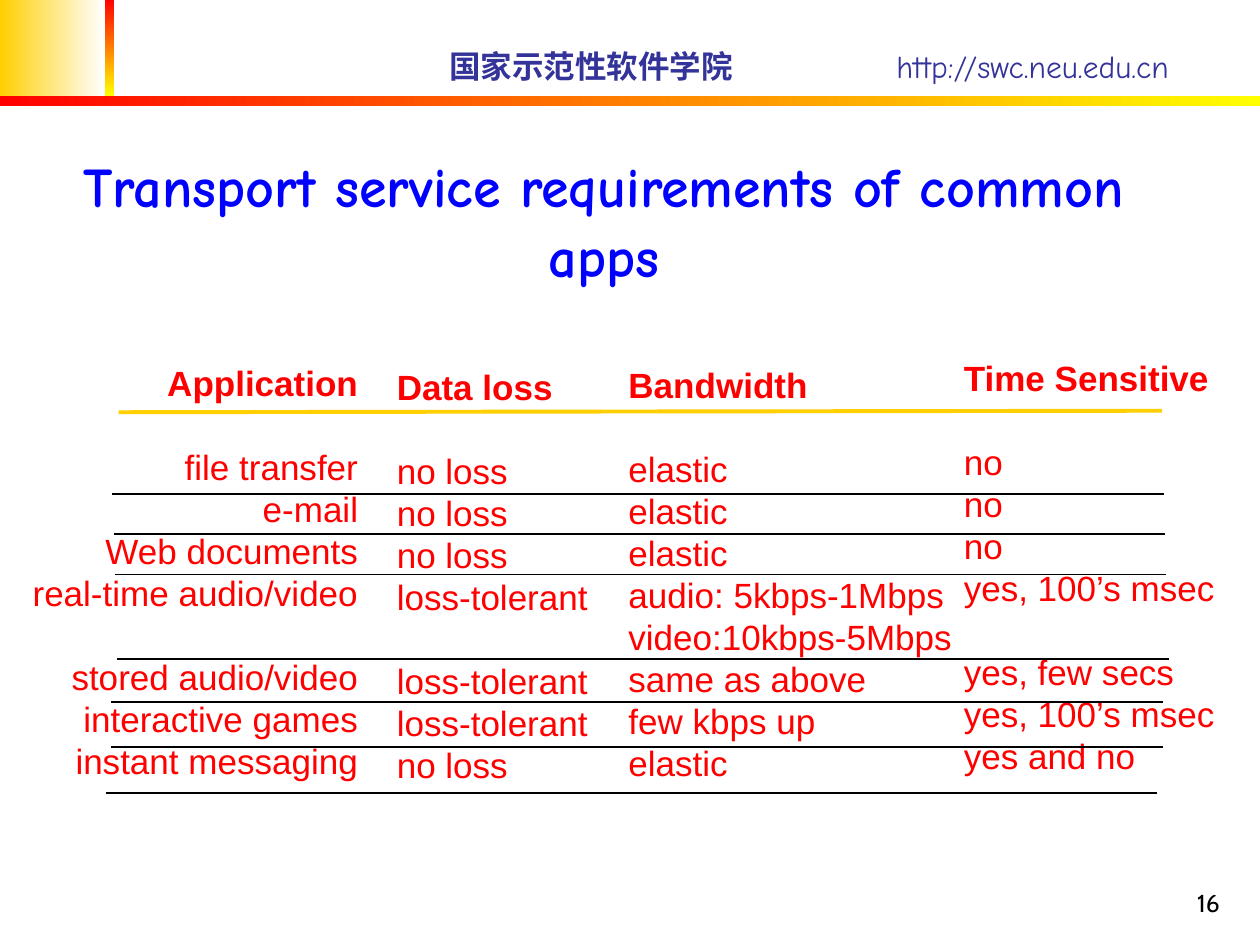
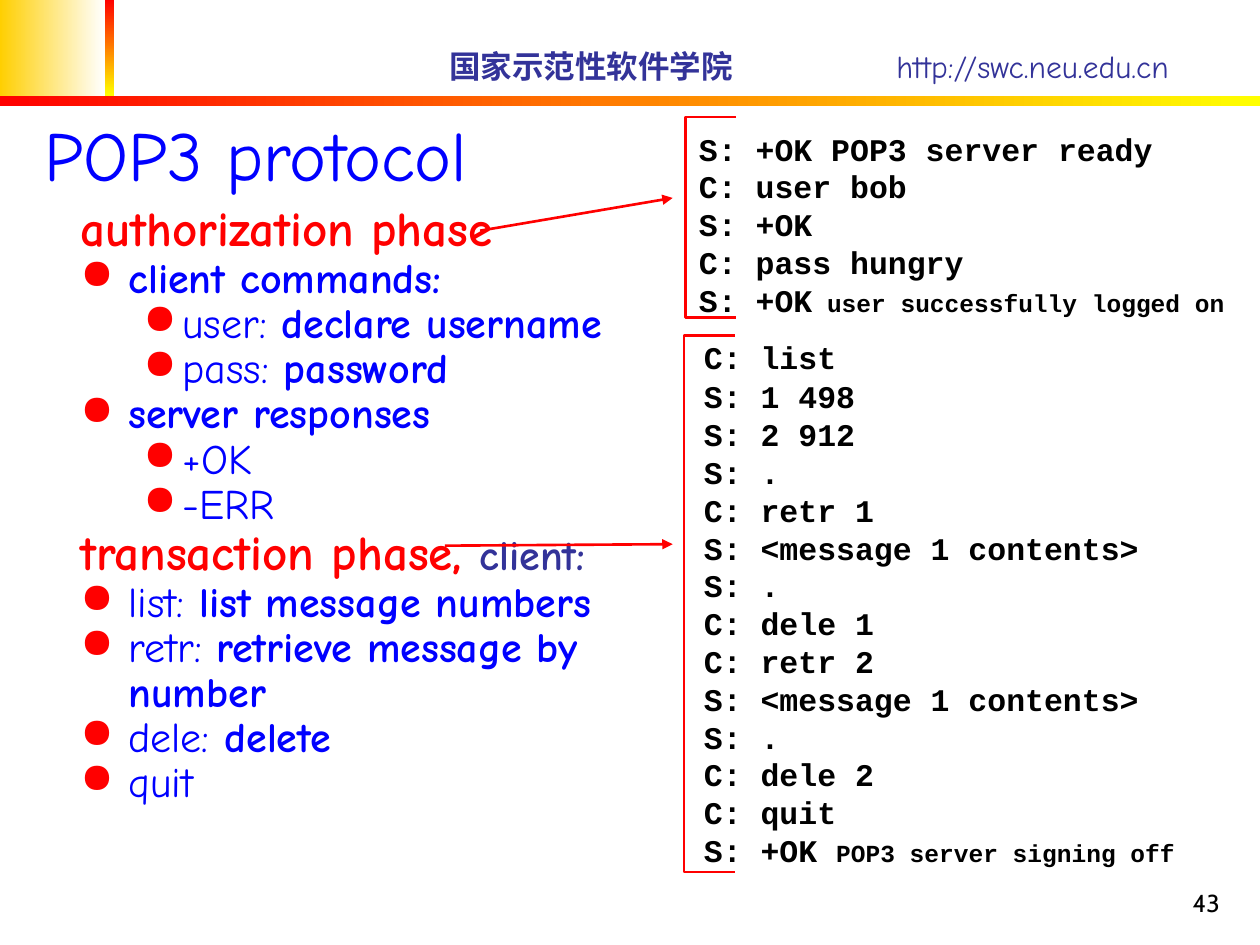
from dataclasses import dataclass
from typing import NamedTuple

from lxml.etree import SubElement
from pptx import Presentation
from pptx.dml.color import RGBColor
from pptx.enum.shapes import MSO_CONNECTOR, MSO_SHAPE
from pptx.enum.text import MSO_ANCHOR, PP_ALIGN
from pptx.oxml.ns import qn
from pptx.slide import Slide
from pptx.util import Cm, Pt

RED = RGBColor(0xFF, 0x00, 0x00)
YELLOW = RGBColor(0xFF, 0xFF, 0x00)
GOLD = RGBColor(0xFF, 0xCF, 0x01)
WHITE = RGBColor(0xFF, 0xFF, 0xFF)
BLACK = RGBColor(0x00, 0x00, 0x00)
BLUE = RGBColor(0x00, 0x00, 0xFF)
NAVY = RGBColor(0x33, 0x33, 0x99)

COMIC = "Comic Neue"
SANS = "Arial"
MONO = "Courier New"
NUMBER = "Cabin"


class Box(NamedTuple):
    """Left, top, width and height in centimetres."""
    left: float
    top: float
    width: float
    height: float


class Point(NamedTuple):
    x: float
    y: float


class Run(NamedTuple):
    text: str
    size: float
    color: RGBColor
    bold: bool = False
    font: str = COMIC


@dataclass
class Para:
    runs: list[Run]
    pitch: float | None = None
    before: float = 0
    align: PP_ALIGN = PP_ALIGN.LEFT
    margin: float = 0
    hang: float = 0
    bullet: bool = False
    tab: float | None = None


class Band(NamedTuple):
    box: Box
    start: RGBColor
    end: RGBColor
    angle: int


class Column(NamedTuple):
    box: Box
    align: PP_ALIGN
    head: str
    cells: list[str]


BANDS = [
    Band(Box(0, 0, 2.11, 1.93), GOLD, WHITE, 0),
    Band(Box(2.11, 0, 0.2, 1.93), RED, YELLOW, 270),
    Band(Box(0, 1.93, 25.4, 0.2), RED, YELLOW, 0),
]

COLUMNS = [
    Column(Box(0.13, 7.16, 7.34, 8.74), PP_ALIGN.RIGHT, "Application",
           ["", "file transfer", "e-mail", "Web documents",
            "real-time audio/video", "", "stored audio/video",
            "interactive games", "instant messaging"]),
    Column(Box(7.75, 7.24, 4.6, 8.74), PP_ALIGN.LEFT, "Data loss",
           ["", "no loss", "no loss", "no loss", "loss-tolerant", "",
            "loss-tolerant", "loss-tolerant", "no loss"]),
    Column(Box(12.42, 7.21, 7.16, 8.74), PP_ALIGN.LEFT, "Bandwidth",
           ["", "elastic", "elastic", "elastic", "audio: 5kbps-1Mbps",
            "video:10kbps-5Mbps", "same as above", "few kbps up", "elastic"]),
    Column(Box(19.18, 7.06, 5.74, 8.74), PP_ALIGN.LEFT, "Time Sensitive",
           ["", "no", "no", "no", "yes, 100’s msec", "", "yes, few secs",
            "yes, 100’s msec", "yes and no"]),
]

RULE_WIDTH = 21.2
RULES = [Point(2.26, 9.96), Point(2.29, 10.77), Point(2.31, 11.58),
         Point(2.36, 13.28), Point(2.24, 14.15), Point(2.24, 15.06),
         Point(2.13, 15.98)]

LOGIN = [("S: +OK POP3 server ready", ""), ("C: user bob", ""),
         ("S: +OK", ""), ("C: pass hungry", ""),
         ("S: +OK", " user successfully logged on")]

MAIL = [("C: list", ""), ("S: 1 498", ""), ("S: 2 912", ""), ("S: .", ""),
        ("C: retr 1", ""), ("S: <message 1 contents>", ""), ("S: .", ""),
        ("C: dele 1", ""), ("C: retr 2", ""),
        ("S: <message 1 contents>", ""), ("S: .", ""), ("C: dele 2", ""),
        ("C: quit", ""), ("S: +OK ", "POP3 server signing off")]


def place(box: Box) -> list[Cm]:
    return [Cm(side) for side in box]


def add_text(slide: Slide, box: Box, paras: list[Para],
             anchor: MSO_ANCHOR = MSO_ANCHOR.TOP) -> None:
    frame = slide.shapes.add_textbox(*place(box)).text_frame
    frame.word_wrap = True
    frame.vertical_anchor = anchor
    for index, para in enumerate(paras):
        line = frame.paragraphs[0] if index == 0 else frame.add_paragraph()
        props = line._p.get_or_add_pPr()
        if para.hang:
            props.set("marL", str(Cm(para.margin)))
            props.set("indent", str(-Cm(para.hang)))
        if para.bullet:
            tint = SubElement(props, qn("a:buClr"))
            SubElement(tint, qn("a:srgbClr"), val=str(RED))
            SubElement(props, qn("a:buChar"), char="●")
        if para.tab:
            stops = SubElement(props, qn("a:tabLst"))
            SubElement(stops, qn("a:tab"), pos=str(Cm(para.tab)), algn="l")
        line.alignment = para.align
        if para.pitch:
            line.line_spacing = Pt(para.pitch)
        if para.before:
            line.space_before = Pt(para.before)
        for run in para.runs:
            piece = line.add_run()
            piece.text = run.text
            piece.font.size = Pt(run.size)
            piece.font.name = run.font
            piece.font.bold = run.bold
            piece.font.color.rgb = run.color


def add_band(slide: Slide, band: Band) -> None:
    shape = slide.shapes.add_shape(MSO_SHAPE.RECTANGLE, *place(band.box))
    shape.shadow.inherit = False
    shape.line.fill.background()
    shape.fill.gradient()
    shape.fill.gradient_angle = band.angle
    for stop, color in zip(shape.fill.gradient_stops, (band.start, band.end)):
        stop.color.rgb = color


def add_line(slide: Slide, start: Point, end: Point, color: RGBColor,
             width: float, arrow: bool = False) -> None:
    line = slide.shapes.add_connector(
        MSO_CONNECTOR.STRAIGHT, *map(Cm, start + end))
    line.line.color.rgb = color
    line.line.width = Pt(width)
    if arrow:
        SubElement(line.line._get_or_add_ln(), qn("a:tailEnd"),
                   type="triangle")
    SubElement(line._element.spPr, qn("a:effectLst"))


def add_bracket(slide: Slide, box: Box) -> None:
    """Draw a red outline that is open on the right."""
    left, top, width, height = place(box)
    pen = slide.shapes.build_freeform(left + width, top)
    pen.add_line_segments([(left, top), (left, top + height),
                           (left + width, top + height)], close=False)
    shape = pen.convert_to_shape()
    shape.shadow.inherit = False
    shape.fill.background()
    shape.line.color.rgb = RED
    shape.line.width = Pt(1.5)


def add_frame(deck: Presentation, number: int) -> Slide:
    """Start a slide with the bands, header and page number."""
    slide = deck.slides.add_slide(deck.slide_layouts[6])
    for band in BANDS:
        add_band(slide, band)
    add_text(slide, Box(8.81, 0.81, 16, 1.02),
             [Para([Run("国家示范性软件学院", 18, NAVY, True),
                    Run("\thttp://swc.neu.edu.cn", 18, NAVY)], tab=9.01)],
             MSO_ANCHOR.MIDDLE)
    add_text(slide, Box(19.56, 17.35, 5.28, 1.27),
             [Para([Run(str(number), 14, BLACK, font=NUMBER)],
                   align=PP_ALIGN.RIGHT)], MSO_ANCHOR.BOTTOM)
    return slide


def add_title(slide: Slide, box: Box, run: Run, align: PP_ALIGN) -> None:
    add_text(slide, box, [Para([run], pitch=run.size * 1.25, align=align)],
             MSO_ANCHOR.BOTTOM)


def add_column(slide: Slide, column: Column) -> None:
    """Stack the cells; an empty cell becomes space above the next one."""
    size, pitch, gap = 20, 24, 0
    paras = [Para([Run(column.head, size, RED, True, SANS)], pitch,
                  align=column.align)]
    for cell in column.cells:
        if cell:
            paras.append(Para([Run(cell, size, RED, font=SANS)], pitch, gap,
                              column.align))
        gap = 0 if cell else pitch
    add_text(slide, column.box, paras)


def add_log(slide: Slide, box: Box, lines: list[tuple[str, str]],
            lead: float = 0) -> None:
    """Write a session log; lead is extra space under its first line."""
    paras = []
    for index, (code, note) in enumerate(lines):
        runs = [Run(code, 18, BLACK, True, MONO)]
        if note:
            runs.append(Run(note, 14, BLACK, True, MONO))
        paras.append(Para(runs, 21.6, lead if index == 1 else 0))
    add_text(slide, box, paras)


def phase(*runs: Run) -> Para:
    return Para(list(runs), 30.1, margin=0.97, hang=0.97)


def point(term: str, note: str = "", deep: bool = False) -> Para:
    runs = [Run(text, 24, BLUE, bold)
            for text, bold in ((term, False), (note, True)) if text]
    margin, hang = (2.06, 0.79) if deep else (0.97, 0.97)
    return Para(runs, 25.8, margin=margin, hang=hang, bullet=True)


def build_needs(deck: Presentation) -> None:
    slide = add_frame(deck, 16)
    add_title(slide, Box(0.79, 2.77, 22.78, 3.18),
              Run("Transport service requirements of common apps", 32, BLUE,
                  True), PP_ALIGN.CENTER)
    for column in COLUMNS:
        add_column(slide, column)
    add_line(slide, Point(2.39, 8.31), Point(23.42, 8.28), GOLD, 2.25)
    for rule in RULES:
        add_line(slide, rule, Point(rule.x + RULE_WIDTH, rule.y), BLACK, 1)


def build_pop(deck: Presentation) -> None:
    slide = add_frame(deck, 43)
    add_title(slide, Box(0.64, 0, 24.21, 4.06),
              Run("POP3 protocol", 40, BLUE), PP_ALIGN.LEFT)
    add_text(slide, Box(1.37, 3.99, 11.71, 12.9), [
        phase(Run("authorization phase", 28, RED, True)),
        point("", "client commands:"),
        point("user:", " declare username", deep=True),
        point("pass:", " password", deep=True),
        point("", "server responses"),
        point("+OK", deep=True),
        point("-ERR", deep=True),
        phase(Run("transaction phase, ", 28, RED, True),
              Run("client:", 24, NAVY, True)),
        point("list:", " list message numbers"),
        point("retr:", " retrieve message by number"),
        point("dele:", " delete"),
        point("quit"),
    ])
    add_log(slide, Box(13.94, 6.68, 10.6, 11), MAIL, lead=1.2)
    add_log(slide, Box(13.84, 2.49, 11.4, 4.1), LOGIN)
    add_bracket(slide, Box(13.82, 2.36, 1.02, 4.04))
    add_line(slide, Point(9.68, 4.65), Point(13.56, 3.99), RED, 1.5, True)
    add_bracket(slide, Box(13.79, 6.76, 1.02, 10.82))
    add_line(slide, Point(8.97, 11), Point(13.56, 10.97), RED, 1.5, True)


def main() -> None:
    deck = Presentation()
    deck.slide_width, deck.slide_height = Cm(25.4), Cm(19.05)
    build_needs(deck)
    build_pop(deck)
    deck.save("out.pptx")


if __name__ == "__main__":
    main()
